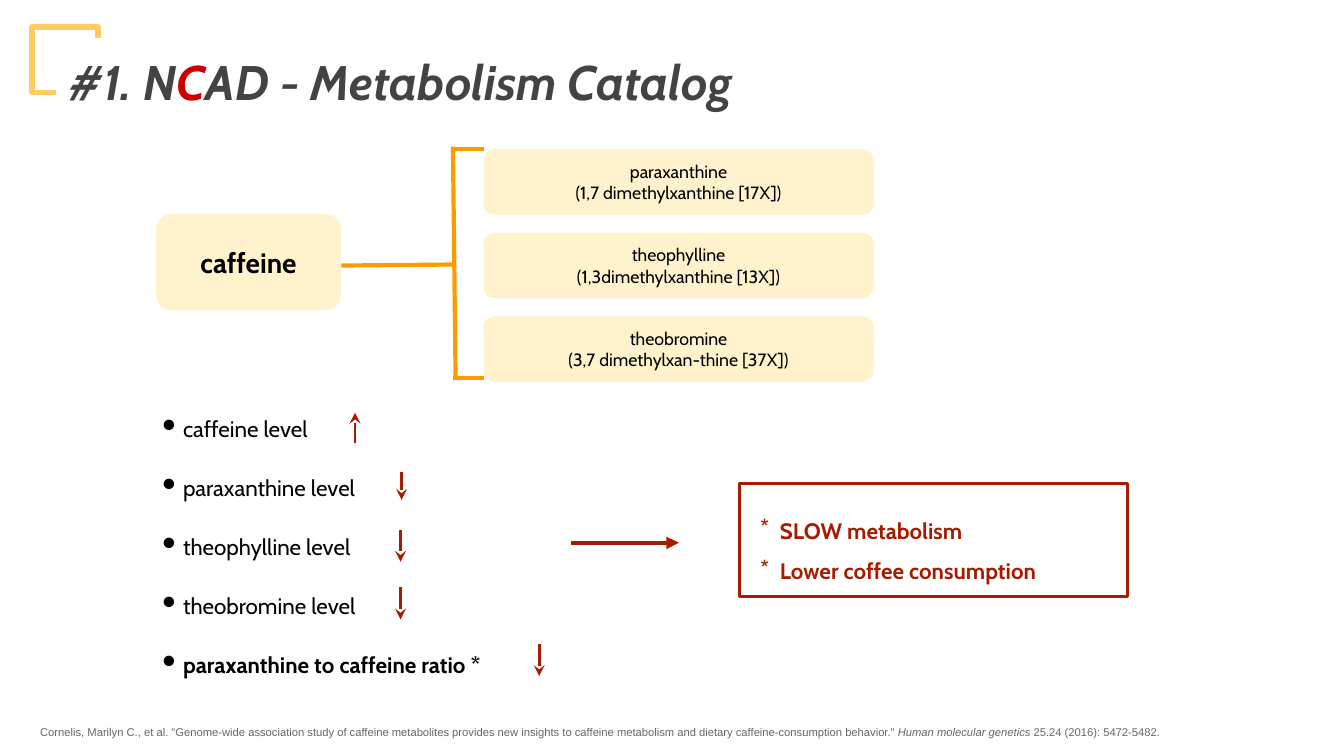
from pptx import Presentation
from pptx.dml.color import RGBColor
from pptx.enum.shapes import MSO_CONNECTOR as Line, MSO_SHAPE as Shape
from pptx.enum.text import MSO_ANCHOR as Anchor, PP_ALIGN as Align
from pptx.oxml.ns import qn
from pptx.util import Cm, Pt
from lxml.etree import SubElement

BLACK = RGBColor(0x00, 0x00, 0x00)
WHITE = RGBColor(0xFF, 0xFF, 0xFF)
CHARCOAL = RGBColor(0x43, 0x43, 0x43)
GREY = RGBColor(0x66, 0x66, 0x66)
RED = RGBColor(0xCC, 0x00, 0x00)
BRICK = RGBColor(0xA6, 0x1C, 0x00)
ORANGE = RGBColor(0xFF, 0x99, 0x00)
GOLD = RGBColor(0xFE, 0xCC, 0x60)
CREAM = RGBColor(0xFF, 0xF2, 0xCC)


def add_span(para, text, size=12, color=BLACK, bold=False, italic=False, name="Cabin"):
    span = para.add_run()
    span.text = text
    font = span.font
    font.name, font.size = name, Pt(size)
    font.bold, font.italic = bold, italic
    font.color.rgb = color


class Page:
    """Holds the slide and draws each kind of element in one style."""

    def __init__(self, deck):
        self.shapes = deck.slides.add_slide(deck.slide_layouts[6]).shapes

    def shape(self, kind, area, fill=None, line=None, width=0.75):
        shape = self.shapes.add_shape(kind, *map(Cm, area))
        shape.shadow.inherit = False
        if fill is None:
            shape.fill.background()
        else:
            shape.fill.solid()
            shape.fill.fore_color.rgb = fill
        if line is None:
            shape.line.fill.background()
        else:
            shape.line.color.rgb = line
            shape.line.width = Pt(width)
        return shape

    def fill_text(self, box, paras, align=Align.LEFT, anchor=Anchor.TOP, spacing=1.0, gap=0,
                  bullet=None, indent=0, **style):
        frame = box.text_frame
        frame.word_wrap = True
        frame.vertical_anchor = anchor
        frame.margin_left = frame.margin_right = Cm(0.25)
        frame.margin_top = frame.margin_bottom = Cm(0.25)
        for index, spans in enumerate(paras):
            para = frame.add_paragraph() if index else frame.paragraphs[0]
            para.alignment = align
            para.line_spacing = spacing
            para.space_after = Pt(gap)
            if bullet:
                props = para._p.get_or_add_pPr()
                props.set("marL", str(Cm(indent)))
                props.set("indent", str(-Cm(indent)))
                SubElement(props, qn("a:buChar"), char=bullet)
            for text, changes in spans:
                add_span(para, text, **{**style, **changes})

    def text(self, area, paras, **style):
        self.fill_text(self.shapes.add_textbox(*map(Cm, area)), paras, **style)

    def pill(self, area, lines, **style):
        box = self.shape(Shape.ROUNDED_RECTANGLE, area, fill=CREAM)
        self.fill_text(box, [[(line, {})] for line in lines],
                       align=Align.CENTER, anchor=Anchor.MIDDLE, **style)

    def line(self, start, end, color=ORANGE, width=2.25, head=None):
        line = self.shapes.add_connector(Line.STRAIGHT, *map(Cm, (*start, *end)))
        line.line.color.rgb = color
        line.line.width = Pt(width)
        if head:
            SubElement(line.line._get_or_add_ln(), qn("a:tailEnd"), type=head)
        SubElement(line._element.spPr, qn("a:effectLst"))


def main():
    deck = Presentation()
    deck.slide_width, deck.slide_height = Cm(25.4), Cm(14.29)
    page = Page(deck)

    page.shape(Shape.RECTANGLE, (0.61, 0.51, 1.24, 1.24), line=GOLD, width=3)
    title = page.shape(Shape.RECTANGLE, (1.07, 0.74, 15.39, 1.6), fill=WHITE, line=WHITE)
    page.fill_text(title,
                   [[("#1. N", {}), ("C", {"color": RED}), ("AD - Metabolism Catalog", {})]],
                   size=26, color=CHARCOAL, bold=True, italic=True)

    page.pill((2.95, 4.04, 3.5, 1.83), ["caffeine"], size=15, bold=True)
    metabolites = [
        ("paraxanthine", "(1,7 dimethylxanthine [17X])"),
        ("theophylline", "(1,3dimethylxanthine [13X])"),
        ("theobromine", "(3,7 dimethylxan-thine [37X])"),
    ]
    for row, lines in enumerate(metabolites):
        page.pill((9.14, 2.82 + 1.58 * row, 7.37, 1.24), lines, size=9.5)

    page.line((6.45, 5.02), (8.56, 5.0))
    for y in (2.82, 7.14):
        page.line((8.56, y), (9.14, y))
    page.line((8.61, 7.14), (8.56, 2.77))

    levels = [[(f"{name} level", {})]
              for name in ("caffeine", "paraxanthine", "theophylline", "theobromine")]
    ratio = [("paraxanthine to caffeine ratio *", {"bold": True})]
    page.text((2.77, 7.54, 8.89, 6.25), levels + [ratio],
              spacing=1.1, gap=15.8, bullet="⚫", indent=0.44)
    trends = [(6.71, 8.38, 7.8), (7.59, 8.92, 9.45), (7.57, 10.01, 10.62),
              (7.57, 11.1, 11.71), (10.19, 12.17, 12.78)]
    for x, start, end in trends:
        page.line((x, start), (x, end), color=BRICK, width=1.5, head="stealth")

    page.line((10.8, 10.26), (12.83, 10.26), color=BRICK, head="triangle")
    page.shape(Shape.RECTANGLE, (13.97, 9.14, 7.34, 2.13), line=BRICK, width=1.5)
    page.text((14.12, 9.27, 7.34, 1.83),
              [[("SLOW metabolism", {})], [("Lower coffee consumption", {})]],
              spacing=1.5, bullet="*", indent=0.37, color=BRICK, bold=True)

    page.text((0.51, 13.59, 24.71, 0.7), [[
        ('Cornelis, Marilyn C., et al. "Genome-wide association study of caffeine metabolites '
         'provides new insights to caffeine metabolism and dietary caffeine-consumption '
         'behavior." ', {}),
        ("Human molecular genetics", {"italic": True}),
        (" 25.24 (2016): 5472-5482.", {}),
    ]], size=6, color=GREY, name="Arial")

    deck.save("out.pptx")


if __name__ == "__main__":
    main()
